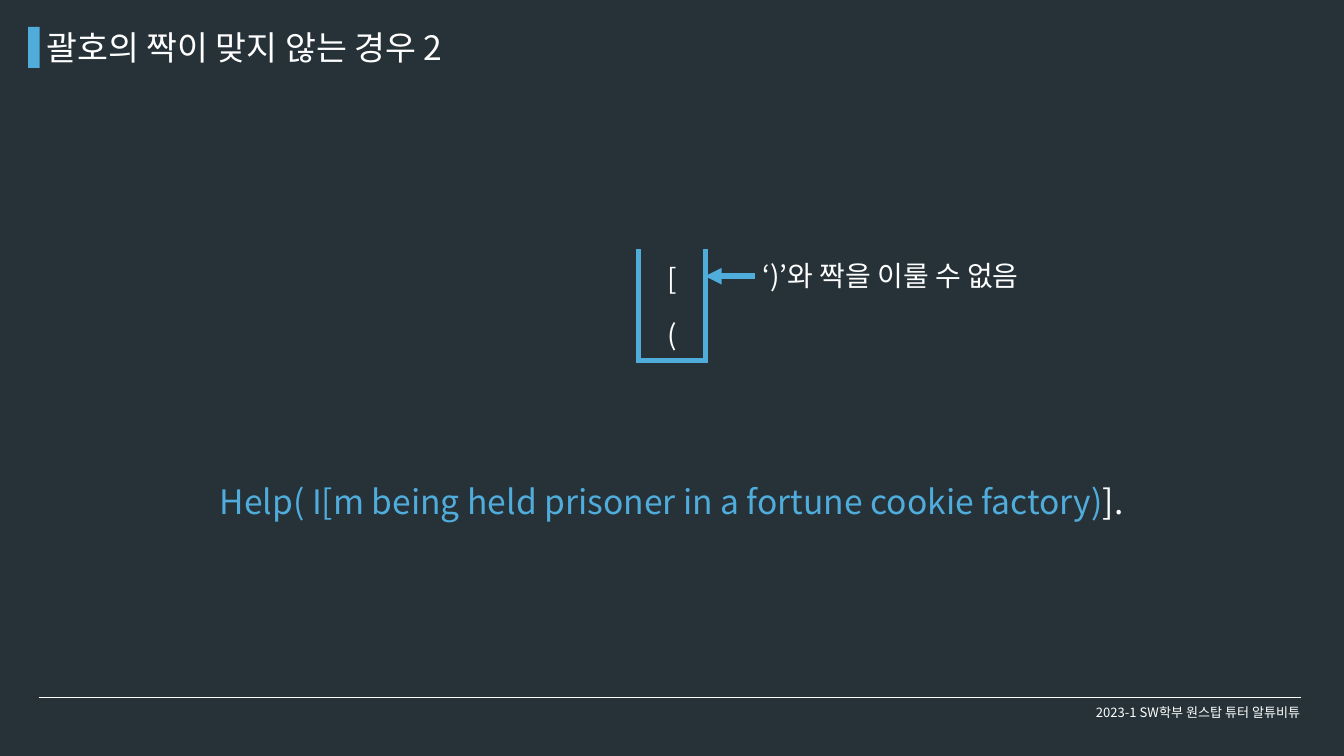
import pptx
import pptx.util
import pptx.dml.color
import pptx.enum.shapes
import pptx.enum.text
import pptx.oxml.ns
import lxml.etree

PX = 9144  # EMU per px, 100 px to the inch
FONT = "Noto Sans CJK KR"
COLORS = {"bg": "263238", "accent": "4FACDB", "text": "FFFFFF"}
LEFT, CENTER = pptx.enum.text.PP_ALIGN.LEFT, pptx.enum.text.PP_ALIGN.CENTER
TOP, MIDDLE = pptx.enum.text.MSO_ANCHOR.TOP, pptx.enum.text.MSO_ANCHOR.MIDDLE
NONE = pptx.enum.text.MSO_AUTO_SIZE.NONE
GROW = pptx.enum.text.MSO_AUTO_SIZE.SHAPE_TO_FIT_TEXT

# Content: box in px, size in pt, alignment, frame format, runs
TEXTS = [
    ((1583, 1031, 400, 57), 14, CENTER, {"vertical_anchor": MIDDLE, "auto_size": NONE},
     [("2023-1 SW학부 원스탑 튜터 알튜비튜", "text")]),
    ((59, 35, 950, 71), 36, LEFT, {"vertical_anchor": TOP, "auto_size": GROW},
     [("괄호의 짝이 맞지 않는 경우 2", "text")]),
    ((241, 711, 1517, 71), 36, CENTER, {"vertical_anchor": TOP, "auto_size": GROW},
     [("Help( I[m being held prisoner in a fortune cookie factory)", "accent"),
      ("].", "text")]),
    ((1125, 380, 424, 61), 30, LEFT, {"vertical_anchor": TOP, "auto_size": GROW},
     [("‘)’와 짝을 이룰 수 없음", "text")]),
]
STACK = ["[", "("]
STACK_LEFT, STACK_TOP, CELL_W, CELL_H = 950, 371, 100, 83
STACK_LINE = 6
# Lines: start and end in px, width in pt, colour, arrowhead
LINES = [
    ((58, 1038), (1936, 1038), 0.75, "text", False),
    ((1123, 411), (1049, 411), STACK_LINE, "accent", True),
]
TITLE_BAR = (42, 40, 17, 61)


def px(*values):
    return [pptx.util.Emu(v * PX) for v in values]


def rgb(name):
    return pptx.dml.color.RGBColor.from_string(COLORS[name])


def sub(parent, tag, **attrs):
    return lxml.etree.SubElement(parent, pptx.oxml.ns.qn(tag), **attrs)


def write(p, runs, size, align):
    p.alignment = align
    for text, color in runs:
        r = p.add_run()
        r.text = text
        for key, value in {"name": FONT, "size": pptx.util.Pt(size)}.items():
            setattr(r.font, key, value)
        r.font.color.rgb = rgb(color)
        sub(r.font._element, "a:ea", typeface=FONT)


def add_text(s, box, size, align, frame, runs):
    tf = s.shapes.add_textbox(*px(*box)).text_frame
    for key, value in {"word_wrap": True, **frame}.items():
        setattr(tf, key, value)
    write(tf.paragraphs[0], runs, size, align)


def add_line(s, start, end, width, color, arrow):
    kind = pptx.enum.shapes.MSO_CONNECTOR.STRAIGHT
    c = s.shapes.add_connector(kind, *px(*start, *end))
    c.line.width = pptx.util.Pt(width)
    c.line.color.rgb = rgb(color)
    if arrow:
        sub(c.line._get_or_add_ln(), "a:tailEnd", type="triangle")
    sub(c._element.spPr, "a:effectLst")


def set_borders(cell, drawn):
    tcPr = cell._tc.get_or_add_tcPr()
    for side in "LRTB":
        ln = sub(tcPr, "a:ln" + side, w=str(pptx.util.Pt(STACK_LINE)))
        if side in drawn:
            sub(sub(ln, "a:solidFill"), "a:srgbClr", val=COLORS["accent"])
        else:
            sub(ln, "a:noFill")


def add_stack(s):
    n = len(STACK)
    box = px(STACK_LEFT, STACK_TOP, CELL_W, CELL_H * n)
    table = s.shapes.add_table(n, 1, *box).table
    table.first_row = table.horz_banding = False
    for i, symbol in enumerate(STACK):
        cell = table.cell(i, 0)
        set_borders(cell, "LRB" if i == n - 1 else "LR")
        cell.fill.background()
        cell.vertical_anchor = MIDDLE
        write(cell.text_frame.paragraphs[0], [(symbol, "text")], 30, CENTER)


def main():
    prs = pptx.Presentation()
    prs.slide_width, prs.slide_height = px(2000, 1125)
    s = prs.slides.add_slide(prs.slide_layouts[6])
    s.background.fill.solid()
    s.background.fill.fore_color.rgb = rgb("bg")

    # Title bar
    sp = s.shapes.add_shape(pptx.enum.shapes.MSO_SHAPE.RECTANGLE, *px(*TITLE_BAR))
    sp.shadow.inherit = False
    sp.fill.solid()
    sp.fill.fore_color.rgb = rgb("accent")
    sp.line.fill.background()

    # Bracket stack, footer rule and arrow, texts
    add_stack(s)
    for line in LINES:
        add_line(s, *line)
    for text in TEXTS:
        add_text(s, *text)
    prs.save("out.pptx")


if __name__ == "__main__":
    main()
